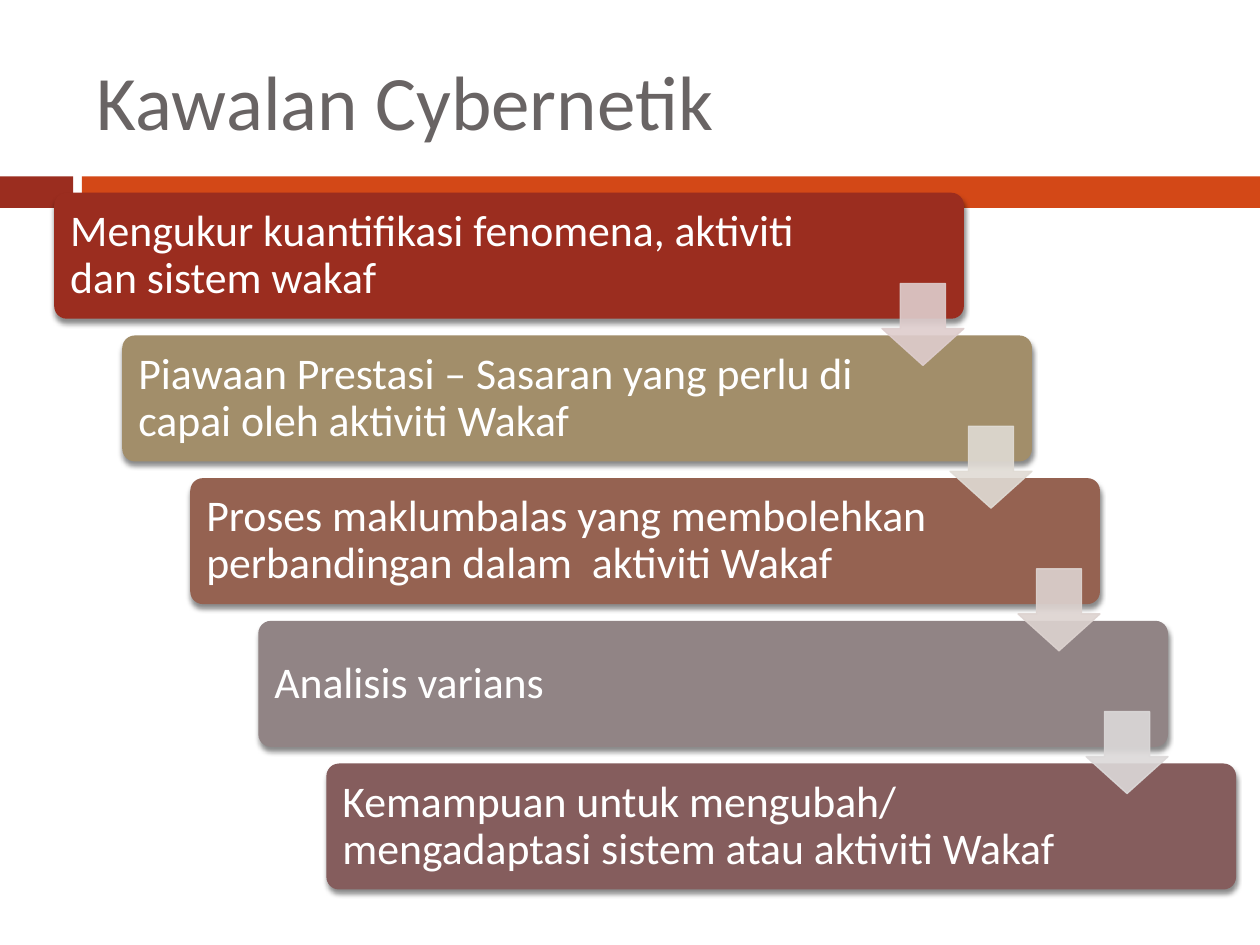
from lxml.etree import SubElement
from pptx import Presentation
from pptx.dml.color import RGBColor
from pptx.enum.shapes import MSO_SHAPE
from pptx.enum.text import MSO_ANCHOR
from pptx.oxml.ns import qn
from pptx.util import Inches, Pt

STEPS = [
    ("Mengukur kuantifikasi fenomena, aktiviti dan sistem wakaf", "9B2D1F", "DECDCD"),
    ("Piawaan Prestasi – Sasaran yang perlu di capai oleh aktiviti Wakaf", "A28E6A", "E0DBD4"),
    ("Proses maklumbalas yang membolehkan perbandingan dalam  aktiviti Wakaf", "956251", "DDD3D0"),
    ("Analisis varians", "918485", "DCD9D9"),
    ("Kemampuan untuk mengubah/ mengadaptasi sistem atau aktiviti Wakaf", "855D5D", None),
]


def color(value):
    """Turn a hex string into a colour."""
    return RGBColor.from_string(value)


def add_block(page, kind, box, fill, adjustments=()):
    """Add a filled preset shape without line or shadow."""
    shape = page.shapes.add_shape(kind, *map(Inches, box))
    shape.shadow.inherit = False
    shape.fill.solid()
    shape.fill.fore_color.rgb = color(fill)
    shape.line.fill.background()
    for index, value in enumerate(adjustments):
        shape.adjustments[index] = value
    return shape


def write_text(shape, text, size, ink, right=0.1, margin=0.1, spacing=1.0):
    """Write one left-aligned, vertically centred paragraph into a shape."""
    frame = shape.text_frame
    frame.word_wrap = True
    frame.vertical_anchor = MSO_ANCHOR.MIDDLE
    frame.margin_left = Inches(0.1)
    frame.margin_right = Inches(right)
    frame.margin_top = frame.margin_bottom = Inches(margin)
    para = frame.paragraphs[0]
    para.alignment = 1
    para.line_spacing = spacing
    span = para.add_run()
    span.text = text
    span.font.name = "Calibri"
    span.font.size = Pt(size)
    span.font.color.rgb = color(ink)


def add_alpha(fill, percent):
    """Make a solid fill partly transparent."""
    shade = fill._xPr.find(qn("a:solidFill"))[0]
    SubElement(shade, qn("a:alpha"), val=str(percent * 1000))


def add_shadow(shape):
    """Give a shape a soft shadow straight below it."""
    effects = shape._element.spPr.find(qn("a:effectLst"))
    shadow = SubElement(effects, qn("a:outerShdw"), blurRad=str(Pt(3)),
                        dist=str(Pt(2.4)), dir="5400000", rotWithShape="0")
    shade = SubElement(shadow, qn("a:srgbClr"), val="000000")
    SubElement(shade, qn("a:alpha"), val="45000")


def add_header(page, left, top, width, height):
    """Place the title above a two-part colour band."""
    title = page.shapes.add_textbox(*map(Inches, (left + 0.67, top + 0.25, 8.92, 1.08)))
    write_text(title, "Kawalan Cybernetik", 44, "696464", margin=0.05)
    band, split, gap = 0.25, 0.58, 0.07
    band_top = top + height - band
    add_block(page, MSO_SHAPE.RECTANGLE, (left, band_top, split, band), "9B2D1F")
    add_block(page, MSO_SHAPE.RECTANGLE,
              (left + split + gap, band_top, width - split - gap, band), "D34817")


def add_arrow(page, box, tint):
    """Place a translucent down arrow."""
    arrow = add_block(page, MSO_SHAPE.DOWN_ARROW, box, tint, (0.55, 0.45))
    arrow.line.width = Pt(0.79)
    arrow.line.fill.solid()
    arrow.line.fill.fore_color.rgb = color(tint)
    add_alpha(arrow.fill, 90)
    add_alpha(arrow.line.fill, 90)


def add_staircase(page, left, top, width, height):
    """Place the steps diagonally across the box, with arrows between them."""
    step_width, step_height, arrow = 7.22, 1.0, 0.65
    shift = (width - step_width) / (len(STEPS) - 1)
    drop = (height - step_height) / (len(STEPS) - 1)
    corners = [(left + i * shift, top + i * drop) for i in range(len(STEPS))]
    for (x, y), (text, fill, _) in zip(corners, STEPS):
        step = add_block(page, MSO_SHAPE.ROUNDED_RECTANGLE,
                         (x, y, step_width, step_height), fill, (0.1,))
        add_shadow(step)
        write_text(step, text, 25, "FFFFFF", right=1.13, spacing=0.9)
    for (x, y), (_, _, tint) in zip(corners, STEPS[:-1]):
        add_arrow(page, (x + step_width - arrow, y + 0.72, arrow, arrow), tint)


def main():
    """Build and save the deck."""
    deck = Presentation()
    deck.slide_width, deck.slide_height = Inches(10), Inches(7.5)
    page = deck.slides.add_slide(deck.slide_layouts[6])
    add_header(page, 0, 0, 10, 1.65)
    add_staircase(page, 0.43, 1.53, 9.38, 5.53)
    deck.save("out.pptx")


if __name__ == "__main__":
    main()
